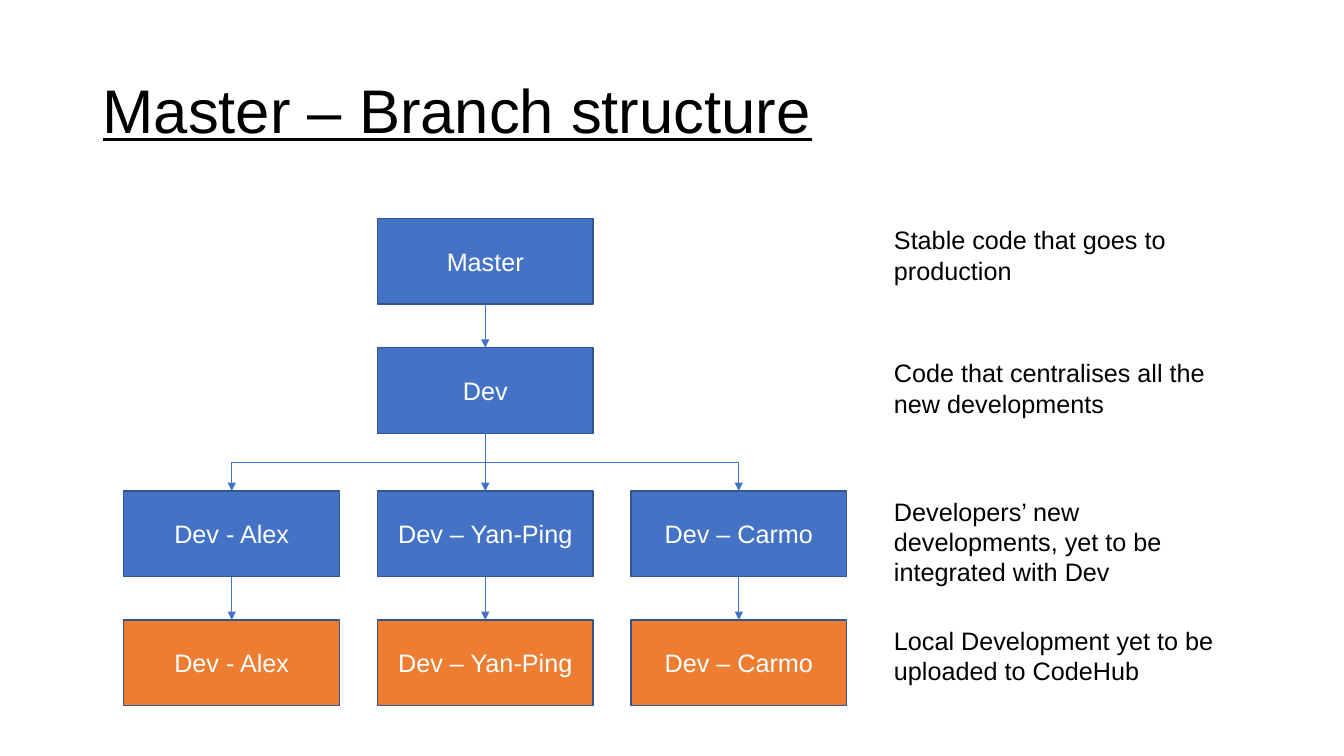
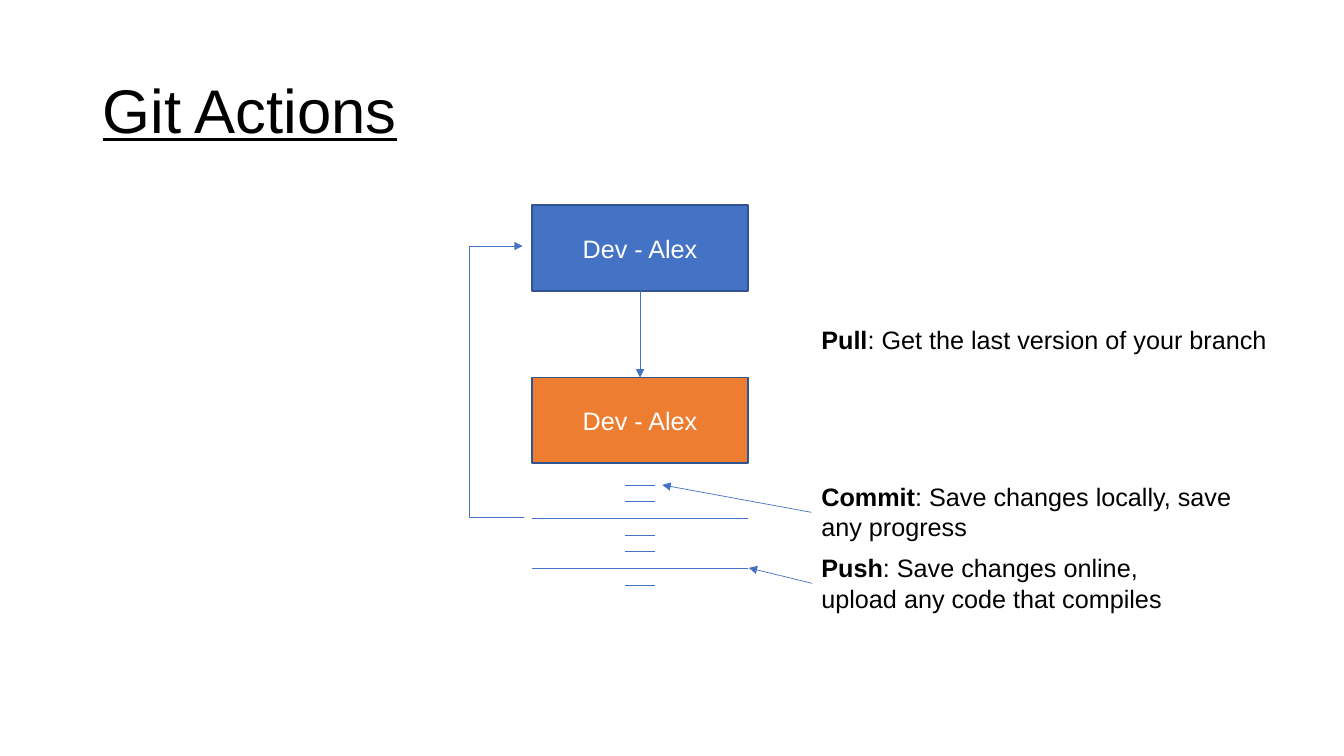
"""Build two slides on a Git branch structure and the everyday Git actions."""
from lxml import etree
from pptx import Presentation
from pptx.dml.color import RGBColor
from pptx.enum.shapes import MSO_CONNECTOR, MSO_SHAPE
from pptx.enum.text import MSO_ANCHOR, MSO_AUTO_SIZE, PP_ALIGN
from pptx.oxml.ns import qn
from pptx.util import Cm, Pt

STRAIGHT, ELBOW = MSO_CONNECTOR.STRAIGHT, MSO_CONNECTOR.ELBOW
RECTANGLE = MSO_SHAPE.RECTANGLE
LEFT, CENTER = PP_ALIGN.LEFT, PP_ALIGN.CENTER
TOP, MIDDLE = MSO_ANCHOR.TOP, MSO_ANCHOR.MIDDLE
GROW = MSO_AUTO_SIZE.SHAPE_TO_FIT_TEXT

BLUE = RGBColor(0x44, 0x72, 0xC4)
ORANGE = RGBColor(0xED, 0x7D, 0x31)
OUTLINE = RGBColor(0x32, 0x54, 0x91)
BLACK = RGBColor(0, 0, 0)
WHITE = RGBColor(0xFF, 0xFF, 0xFF)
FONT = "Arial"

BOX_WIDTH, BOX_HEIGHT = 5.44, 2.16
TOP_SITE, BOTTOM_SITE = 0, 2
DEGREE = 60000

BRANCH_TITLE = "Master – Branch structure"
DEVELOPERS = ["Dev - Alex", "Dev – Yan-Ping", "Dev – Carmo"]
BRANCH_LEFT, BRANCH_PITCH = 3.12, 6.39
BRANCH_ROWS = [
    (5.5, BLUE, {1: "Master"}),
    (8.76, BLUE, {1: "Dev"}),
    (12.37, BLUE, dict(enumerate(DEVELOPERS))),
    (15.62, ORANGE, dict(enumerate(DEVELOPERS))),
]
BRANCH_NOTES = [
    (5.54, 1.8, "Stable code that goes to production"),
    (8.89, 1.8, "Code that centralises all the new developments"),
    (12.37, 2.57, "Developers’ new developments, yet to be integrated with Dev"),
    (15.62, 1.8, "Local Development yet to be uploaded to CodeHub"),
]

ACTION_TITLE = "Git Actions"
ACTION_LEFT = 13.41
ACTION_BOXES = [(5.17, BLUE), (9.51, ORANGE)]
ACTION_NOTES = [
    (8.05, 11.84, 1.02, False, "Pull", ": Get the last version of your branch"),
    (12.01, 11.91, 1.8, True, "Commit", ": Save changes locally, save any progress"),
    (13.8, 10.29, 1.8, True, "Push", ": Save changes online, upload any code that compiles"),
]
TIMELINE = ["commit", "commit", "push", "commit", "commit", "push", "commit"]
TIMELINE_TOP, TIMELINE_STEP = 12.22, 0.42
HALF_LENGTHS = {"commit": 0.37, "push": BOX_WIDTH / 2}
POINTERS = [((20.45, 12.91), (16.69, 12.22)), ((20.47, 14.7), (18.87, 14.31))]
LOOP_START, LOOP_END, LOOP_REACH = (13.2, 13.04), (13.17, 6.2), 1.37


def write_text(frame, *texts, size=18, color=BLACK, bold_first=False,
               underline=None, align=LEFT, anchor=TOP, wrap=True, spacing=None):
    """Fill a text frame with one paragraph made of the given runs."""
    frame.word_wrap = wrap
    frame.vertical_anchor = anchor
    paragraph = frame.paragraphs[0]
    paragraph.alignment = align
    paragraph.line_spacing = spacing
    for index, text in enumerate(texts):
        run = paragraph.add_run()
        run.text = text
        run.font.name = FONT
        run.font.size = Pt(size)
        run.font.color.rgb = color
        run.font.bold = bold_first and index == 0
        run.font.underline = underline


def add_titled_slide(presentation, title):
    """Add a title-only slide with the shared underlined title."""
    slide = presentation.slides.add_slide(presentation.slide_layouts[5])
    shape = slide.shapes.title
    shape.left, shape.top = Cm(2.33), Cm(1.01)
    shape.width, shape.height = Cm(29.21), Cm(3.68)
    write_text(shape.text_frame, title, size=44, underline=True, anchor=MIDDLE, spacing=0.9)
    return slide


def add_box(slide, left, top, fill, text):
    """Add one branch box."""
    shape = slide.shapes.add_shape(RECTANGLE, Cm(left), Cm(top), Cm(BOX_WIDTH), Cm(BOX_HEIGHT))
    shape.shadow.inherit = False
    shape.fill.solid()
    shape.fill.fore_color.rgb = fill
    shape.line.color.rgb = OUTLINE
    shape.line.width = Pt(1)
    write_text(shape.text_frame, text, color=WHITE, align=CENTER, anchor=MIDDLE)
    return shape


def add_note(slide, left, top, width, height, *texts, **text_format):
    """Add an explanatory text box."""
    shape = slide.shapes.add_textbox(Cm(left), Cm(top), Cm(width), Cm(height))
    write_text(shape.text_frame, *texts, **text_format)
    shape.text_frame.auto_size = GROW


def add_line(slide, start=(0, 0), end=(0, 0), kind=STRAIGHT, arrow=True):
    """Add a thin blue connector between two points in centimetres."""
    connector = slide.shapes.add_connector(kind, *map(Cm, start + end))
    connector.line.color.rgb = BLUE
    connector.line.width = Pt(0.5)
    properties = connector._element.spPr
    if arrow:
        etree.SubElement(properties.find(qn("a:ln")), qn("a:tailEnd"), type="triangle")
    etree.SubElement(properties, qn("a:effectLst"))
    return connector


def turn(connector, degrees, flip=False):
    """Rotate a connector and set its horizontal flip."""
    frame = connector._element.spPr.find(qn("a:xfrm"))
    frame.set("rot", str(degrees * DEGREE))
    frame.set("flipH", str(int(flip)))
    frame.set("flipV", "0")


def join(slide, upper, lower):
    """Connect the bottom of one box to the top of another."""
    sideways = lower.left - upper.left
    connector = add_line(slide, kind=ELBOW if sideways else STRAIGHT)
    connector.begin_connect(upper, BOTTOM_SITE)
    connector.end_connect(lower, TOP_SITE)
    if sideways:
        width, height = connector.width, connector.height
        connector.left += (width - height) // 2
        connector.top += (height - width) // 2
        connector.width, connector.height = height, width
        turn(connector, 270 if sideways > 0 else 90, flip=sideways > 0)


def build_branch_slide(presentation):
    """Show the branch tree with one note per level."""
    slide = add_titled_slide(presentation, BRANCH_TITLE)
    previous = {}
    for top, fill, names in BRANCH_ROWS:
        current = {column: add_box(slide, BRANCH_LEFT + column * BRANCH_PITCH, top, fill, name)
                   for column, name in names.items()}
        if previous:
            for column, box in current.items():
                join(slide, previous.get(column, previous[1]), box)
        previous = current
    for top, height, text in BRANCH_NOTES:
        add_note(slide, 22.28, top, 9.27, height, text)


def build_action_slide(presentation):
    """Show pull, commit and push on one branch."""
    slide = add_titled_slide(presentation, ACTION_TITLE)
    join(slide, *[add_box(slide, ACTION_LEFT, top, fill, DEVELOPERS[0])
                  for top, fill in ACTION_BOXES])
    middle = ACTION_LEFT + BOX_WIDTH / 2
    for index, event in enumerate(TIMELINE):
        y, half = TIMELINE_TOP + index * TIMELINE_STEP, HALF_LENGTHS[event]
        add_line(slide, (middle - half, y), (middle + half, y), arrow=False)
    for top, width, height, wrap, *texts in ACTION_NOTES:
        add_note(slide, 20.45, top, width, height, *texts, bold_first=True, wrap=wrap)
    for start, end in POINTERS:
        add_line(slide, start, end)
    loop = add_line(slide, LOOP_START, LOOP_END, ELBOW)
    turn(loop, 180)
    bend = round(LOOP_REACH / (LOOP_START[0] - LOOP_END[0]) * 100000)
    guides = loop._element.spPr.find(qn("a:prstGeom")).get_or_add_avLst()
    etree.SubElement(guides, qn("a:gd"), name="adj1", fmla=f"val {bend}")


def main():
    """Build and save the presentation."""
    presentation = Presentation()
    presentation.slide_width, presentation.slide_height = Cm(33.87), Cm(19.05)
    build_branch_slide(presentation)
    build_action_slide(presentation)
    presentation.save("out.pptx")


if __name__ == "__main__":
    main()
